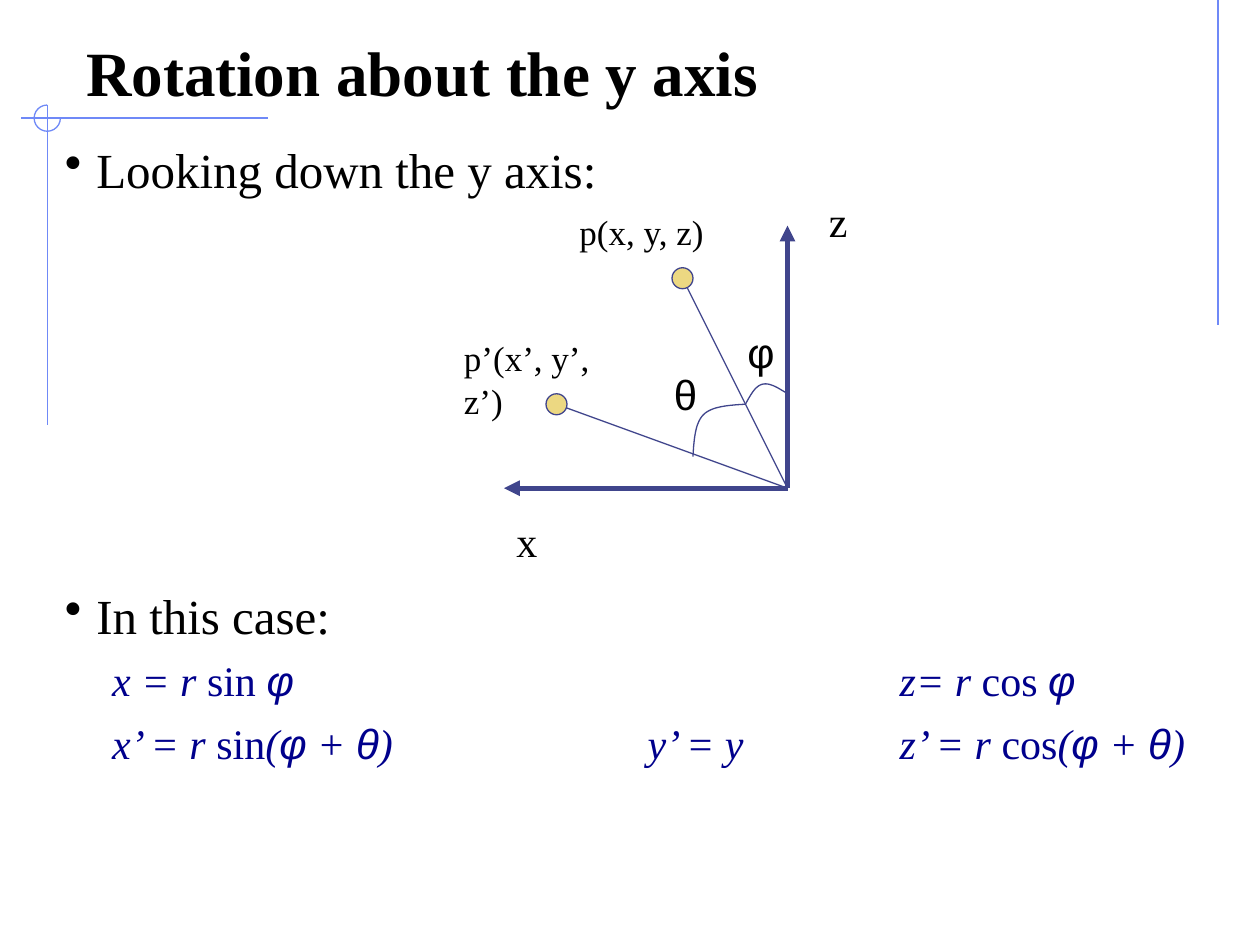
from dataclasses import dataclass
from typing import NamedTuple

from lxml import etree
from pptx import Presentation
from pptx import util as u
from pptx.dml.color import RGBColor
from pptx.enum import shapes, text
from pptx.oxml import ns

COLUMNS, ROWS = 120, 90
CELL = u.Inches(10) // COLUMNS
CURVE_STEPS = 16


@dataclass(frozen=True)
class Theme:
    ink: RGBColor = RGBColor(0x00, 0x00, 0x00)
    formula: RGBColor = RGBColor(0x00, 0x00, 0x8C)
    frame: RGBColor = RGBColor(0x6F, 0x89, 0xF7)
    diagram: RGBColor = RGBColor(0x40, 0x45, 0x8C)
    dot: RGBColor = RGBColor(0xEC, 0xD8, 0x82)
    serif: str = "Times New Roman"
    greek: str = "Arial"
    title_size: int = 36
    bullet_size: int = 28
    formula_size: int = 24
    axis_size: int = 24
    point_size: int = 20
    thin: float = 0.75
    thick: float = 3


THEME = Theme()


class Point(NamedTuple):
    column: float
    row: float


class Box(NamedTuple):
    column: float
    row: float
    width: float
    height: float


class Line(NamedTuple):
    start: Point
    end: Point
    color: RGBColor
    weight: float = THEME.thin
    arrow: bool = False


class Label(NamedTuple):
    wording: str
    box: Box
    size: int
    font: str = THEME.serif


class Piece(NamedTuple):
    wording: str
    font: str = THEME.serif
    italic: bool = True


ORIGIN = Point(75, 46.5)
DOTS = [Point(65, 26.5), Point(53, 38.5)]
DOT_SIZE = 2
CORNER = Point(4.5, 11.25)
CORNER_SIZE = 2.5

FRAME_LINES = [
    Line(Point(116, 0), Point(116, 31), THEME.frame),
    Line(Point(25.5, CORNER.row), Point(2, CORNER.row), THEME.frame),
    Line(Point(CORNER.column, 10), Point(CORNER.column, 40.5), THEME.frame),
]
DIAGRAM_LINES = [
    Line(ORIGIN, Point(75, 21.5), THEME.diagram, THEME.thick, True),
    Line(ORIGIN, Point(48, 46.5), THEME.diagram, THEME.thick, True),
    *[Line(ORIGIN, dot, THEME.diagram) for dot in DOTS],
]
ANGLE_CURVES = [
    [Point(71, 38.5), Point(71.5, 37.6), Point(71.9, 36.8), Point(72.6, 36.6),
     Point(73.3, 36.4), Point(74.2, 37), Point(75, 37.5)],
    [Point(66, 43.5), Point(66.1, 41.9), Point(66.2, 40.3), Point(67, 39.5),
     Point(67.8, 38.7), Point(69.4, 38.6), Point(71, 38.5)],
]
LABELS = [
    Label("z", Box(77.75, 18, 4.2, 6), THEME.axis_size),
    Label("x", Box(48, 48.5, 4.3, 6), THEME.axis_size),
    Label("p(x, y, z)", Box(54, 19.5, 14.4, 5.25), THEME.point_size),
    Label("p’(x’, y’, z’)", Box(43, 31.5, 18.8, 5.25), THEME.point_size),
    Label("φ", Box(70, 30.5, 4.4, 6), THEME.axis_size, THEME.greek),
    Label("θ", Box(63, 34.5, 4.4, 6), THEME.axis_size, THEME.greek),
]
BULLETS = [
    ("Looking down the y axis:", Box(5, 12.7, 110, 6.5)),
    ("In this case:", Box(5, 55.2, 110, 6.5)),
]
PHI, THETA, PLUS = Piece("φ", THEME.greek), Piece("θ", THEME.greek), Piece(" + ")
ANGLE_SUM = [Piece("("), PHI, PLUS, THETA]
FORMULAS = [
    [Piece("x = r "), Piece("sin ", italic=False), PHI,
     Piece("\t\tz= r "), Piece("cos ", italic=False), PHI],
    [Piece("x’ = r "), Piece("sin", italic=False), *ANGLE_SUM,
     Piece(")\ty’ = y\tz’ = r "), Piece("cos", italic=False), *ANGLE_SUM, Piece(")")],
]
FORMULA_BOX = Box(9.5, 61.7, 106, 12)
FORMULA_TABS = [51, 75]


def cells(*values: float) -> list[int]:
    return [round(value * CELL) for value in values]


def centred(point: Point, size: float) -> Box:
    return Box(point.column - size / 2, point.row - size / 2, size, size)


def set_font(paragraph, size: int, color: RGBColor, name: str = THEME.serif) -> None:
    paragraph.font.size = u.Pt(size)
    paragraph.font.color.rgb = color
    paragraph.font.name = name


def set_outline(shape, color: RGBColor, weight: float = THEME.thin) -> None:
    shape.line.color.rgb = color
    shape.line.width = u.Pt(weight)


def draw_line(slide, line: Line) -> None:
    connector = slide.shapes.add_connector(
        shapes.MSO_CONNECTOR.STRAIGHT, *cells(*line.start, *line.end))
    set_outline(connector, line.color, line.weight)
    if line.arrow:
        etree.SubElement(connector.line._get_or_add_ln(), ns.qn("a:tailEnd"), type="triangle")
    etree.SubElement(connector._element.spPr, ns.qn("a:effectLst"))


def draw_round(slide, kind, box: Box, outline: RGBColor):
    shape = slide.shapes.add_shape(kind, *cells(*box))
    shape.shadow.inherit = False
    shape.fill.background()
    set_outline(shape, outline)
    return shape


def bezier(controls: list[Point], share: float) -> Point:
    rest = 1 - share
    weights = (rest**3, 3 * rest**2 * share, 3 * rest * share**2, share**3)
    return Point(*(sum(weight * value for weight, value in zip(weights, axis))
                   for axis in zip(*controls)))


def draw_curve(slide, controls: list[Point]) -> None:
    points = [bezier(controls[first:first + 4], step / CURVE_STEPS)
              for first in range(0, len(controls) - 1, 3)
              for step in range(1, CURVE_STEPS + 1)]
    builder = slide.shapes.build_freeform(*cells(*controls[0]))
    builder.add_line_segments([cells(*point) for point in points], close=False)
    shape = builder.convert_to_shape()
    shape.shadow.inherit = False
    shape.fill.background()
    set_outline(shape, THEME.diagram)


def add_text(slide, box: Box, wrap: bool = True):
    frame = slide.shapes.add_textbox(*cells(*box)).text_frame
    frame.word_wrap = wrap
    return frame


def draw_label(slide, label: Label) -> None:
    paragraph = add_text(slide, label.box, wrap=False).paragraphs[0]
    paragraph.text = label.wording
    set_font(paragraph, label.size, THEME.ink, label.font)


def draw_bullet(slide, wording: str, box: Box) -> None:
    paragraph = add_text(slide, box).paragraphs[0]
    paragraph.text = wording
    properties = paragraph._p.get_or_add_pPr()
    indent = cells(3)[0]
    properties.set("marL", str(indent))
    properties.set("indent", str(-indent))
    etree.SubElement(properties, ns.qn("a:buChar"), char="•")
    set_font(paragraph, THEME.bullet_size, THEME.ink)


def draw_formulas(slide) -> None:
    frame = add_text(slide, FORMULA_BOX)
    for index, pieces in enumerate(FORMULAS):
        paragraph = frame.add_paragraph() if index else frame.paragraphs[0]
        tabs = etree.SubElement(paragraph._p.get_or_add_pPr(), ns.qn("a:tabLst"))
        for position in cells(*FORMULA_TABS):
            etree.SubElement(tabs, ns.qn("a:tab"), pos=str(position), algn="l")
        if index:
            paragraph.space_before = u.Pt(7.5)
        set_font(paragraph, THEME.formula_size, THEME.formula)
        for piece in pieces:
            run = paragraph.add_run()
            run.text = piece.wording
            run.font.name = piece.font
            run.font.italic = piece.italic


def draw_title(slide) -> None:
    title = slide.shapes.title
    title.left, title.top, title.width, title.height = cells(7, 3, 106, 8)
    title.text_frame.text = "Rotation about the y axis"
    title.text_frame.vertical_anchor = text.MSO_ANCHOR.BOTTOM
    paragraph = title.text_frame.paragraphs[0]
    paragraph.alignment = text.PP_ALIGN.LEFT
    set_font(paragraph, THEME.title_size, THEME.ink)
    paragraph.font.bold = True


def main() -> None:
    presentation = Presentation()
    presentation.slide_width, presentation.slide_height = cells(COLUMNS, ROWS)
    slide = presentation.slides.add_slide(presentation.slide_layouts[5])
    draw_title(slide)
    for line in FRAME_LINES + DIAGRAM_LINES:
        draw_line(slide, line)
    corner = draw_round(slide, shapes.MSO_SHAPE.ARC, centred(CORNER, CORNER_SIZE), THEME.frame)
    corner.adjustments[0], corner.adjustments[1] = 0, 162
    for point in DOTS:
        dot = draw_round(slide, shapes.MSO_SHAPE.OVAL, centred(point, DOT_SIZE), THEME.diagram)
        dot.fill.solid()
        dot.fill.fore_color.rgb = THEME.dot
    for controls in ANGLE_CURVES:
        draw_curve(slide, controls)
    for label in LABELS:
        draw_label(slide, label)
    for wording, box in BULLETS:
        draw_bullet(slide, wording, box)
    draw_formulas(slide)
    presentation.save("out.pptx")


if __name__ == "__main__":
    main()
